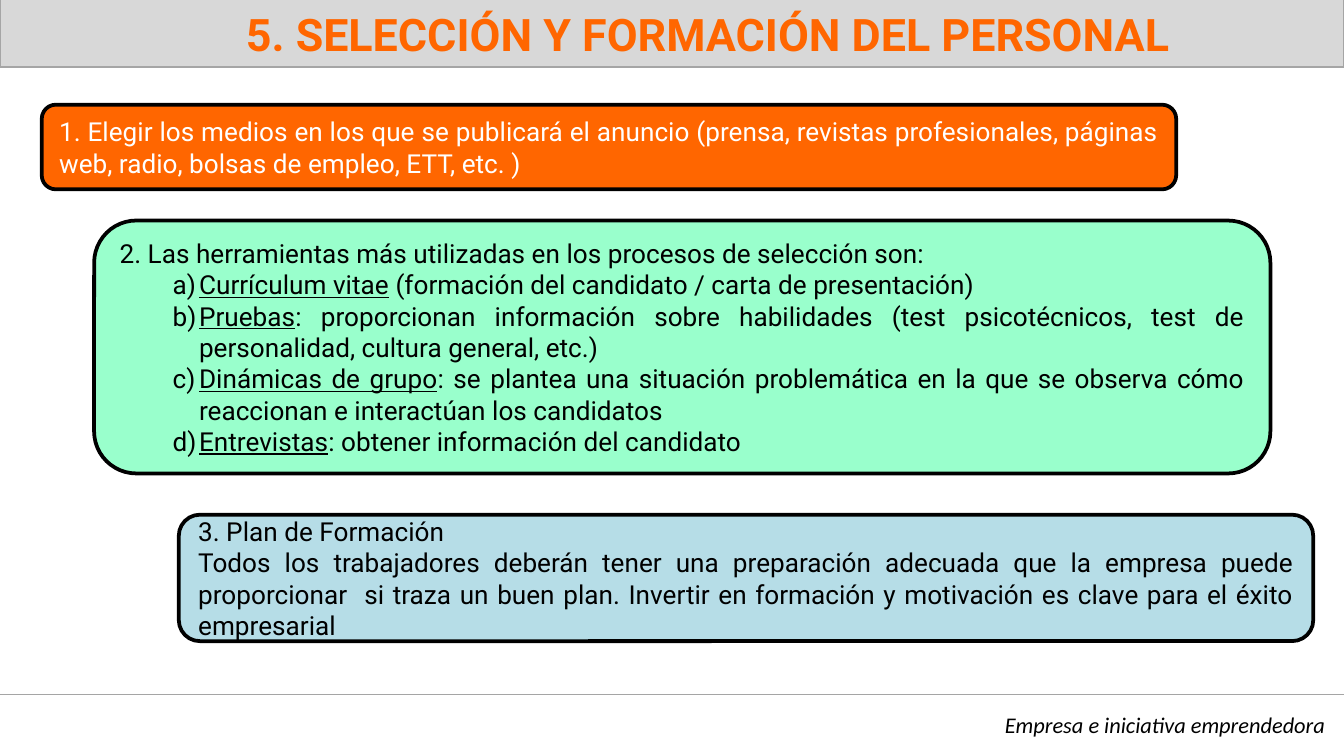
import lxml.etree
import pptx
import pptx.dml.color
import pptx.enum.shapes
import pptx.enum.text
import pptx.oxml.ns
import pptx.util

Cm = pptx.util.Cm
Pt = pptx.util.Pt
Align = pptx.enum.text.PP_ALIGN
Anchor = pptx.enum.text.MSO_ANCHOR
Preset = pptx.enum.shapes.MSO_SHAPE
qn = pptx.oxml.ns.qn

TITLE = "5. SELECCIÓN Y FORMACIÓN DEL PERSONAL"
FOOTER = "Empresa e iniciativa emprendedora"
MEDIA = [
    "1. Elegir los medios en los que se publicará el anuncio (prensa, revistas profesionales, "
    "páginas web, radio, bolsas de empleo, ETT, etc. )",
]
TOOLS = [
    "2. Las herramientas más utilizadas en los procesos de selección son:",
    ("Currículum vitae", " (formación del candidato / carta de presentación)"),
    ("Pruebas", ": proporcionan información sobre habilidades (test psicotécnicos, "
     "test de personalidad, cultura general, etc.)"),
    ("Dinámicas de grupo", ": se plantea una situación problemática en la que se observa "
     "cómo reaccionan e interactúan los candidatos"),
    ("Entrevistas", ": obtener información del candidato"),
]
TRAINING = [
    "3. Plan de Formación",
    "Todos los trabajadores deberán tener una preparación adecuada que la empresa puede "
    "proporcionar  si traza un buen plan. Invertir en formación y motivación es clave para "
    "el éxito empresarial",
]

THEME = {
    "orange": "FF6600", "green": "99FFCC", "blue": "B6DDE7",
    "band": "D8D8D8", "rule": "A5A5A5", "black": "000000", "white": "FFFFFF",
    "title": {"name": "Roboto", "size": Pt(24), "bold": True},
    "body": {"name": "Roboto", "size": Pt(14)},
    "footer": {"name": "Calibri", "size": Pt(12), "italic": True},
    "thin": Pt(0.75), "thick": Pt(2),
}

WIDTH, HEIGHT = 25.4, 14.29
RULE_TOP = 13.13
LIST_MARGIN, LIST_HANG = 1.5, 0.5
STEPS = [
    (MEDIA, (0.79, 1.98, 21.44, 1.6), "orange", "white"),
    (TOOLS, (1.78, 4.17, 22.23, 4.78), "green", "black"),
    (TRAINING, (3.38, 9.73, 21.44, 2.39), "blue", "black"),
]


def color(name):
    return pptx.dml.color.RGBColor.from_string(THEME[name])


def apply_format(target, values):
    for name, value in values.items():
        setattr(target, name, value)


def indent(paragraph, margin, hang=0):
    properties = paragraph._p.get_or_add_pPr()
    properties.set("marL", str(Cm(margin)))
    properties.set("indent", str(-Cm(hang)))
    return properties


def number_with_letters(paragraph, color_name):
    properties = indent(paragraph, LIST_MARGIN, LIST_HANG)
    bullet_color = lxml.etree.SubElement(properties, qn("a:buClr"))
    lxml.etree.SubElement(bullet_color, qn("a:srgbClr"), val=THEME[color_name])
    lxml.etree.SubElement(properties, qn("a:buAutoNum"), type="alphaLcParenR")


def write(shape, paragraphs, style, color_name, alignment, anchor):
    frame = shape.text_frame
    apply_format(frame, {"word_wrap": True, "vertical_anchor": anchor})
    for index, content in enumerate(paragraphs):
        paragraph = frame.paragraphs[0] if index == 0 else frame.add_paragraph()
        paragraph.alignment = alignment
        is_item = isinstance(content, tuple)
        if is_item:
            number_with_letters(paragraph, color_name)
        for position, text in enumerate(content if is_item else [content]):
            run = paragraph.add_run()
            run.text = text
            apply_format(run.font, THEME[style])
            run.font.color.rgb = color(color_name)
            if is_item:
                run.font.underline = position == 0


def add_panel(slide, preset, box, fill, line, weight):
    shape = slide.shapes.add_shape(preset, *map(Cm, box))
    shape.shadow.inherit = False
    shape.fill.solid()
    shape.fill.fore_color.rgb = color(fill)
    shape.line.color.rgb = color(line)
    shape.line.width = THEME[weight]
    return shape


def add_rule(slide):
    connector = slide.shapes.add_connector(
        pptx.enum.shapes.MSO_CONNECTOR.STRAIGHT, 0, Cm(RULE_TOP), Cm(WIDTH), Cm(RULE_TOP))
    connector.line.color.rgb = color("rule")
    connector.line.width = THEME["thin"]
    lxml.etree.SubElement(connector._element.spPr, qn("a:effectLst"))


def main():
    presentation = pptx.Presentation()
    apply_format(presentation, {"slide_width": Cm(WIDTH), "slide_height": Cm(HEIGHT)})
    slide = presentation.slides.add_slide(presentation.slide_layouts[6])

    add_rule(slide)
    band = add_panel(slide, Preset.RECTANGLE, (0, -0.03, WIDTH, 1.3), "band", "rule", "thin")
    write(band, [TITLE], "title", "orange", Align.CENTER, Anchor.BOTTOM)
    indent(band.text_frame.paragraphs[0], 1.35)

    footer = slide.shapes.add_textbox(*map(Cm, (2.29, 13.31, 23.01, 0.76)))
    write(footer, [FOOTER], "footer", "black", Align.RIGHT, Anchor.TOP)

    for paragraphs, box, fill, text_color in STEPS:
        panel = add_panel(slide, Preset.ROUNDED_RECTANGLE, box, fill, "black", "thick")
        write(panel, paragraphs, "body", text_color, Align.JUSTIFY, Anchor.MIDDLE)

    presentation.save("out.pptx")


if __name__ == "__main__":
    main()
